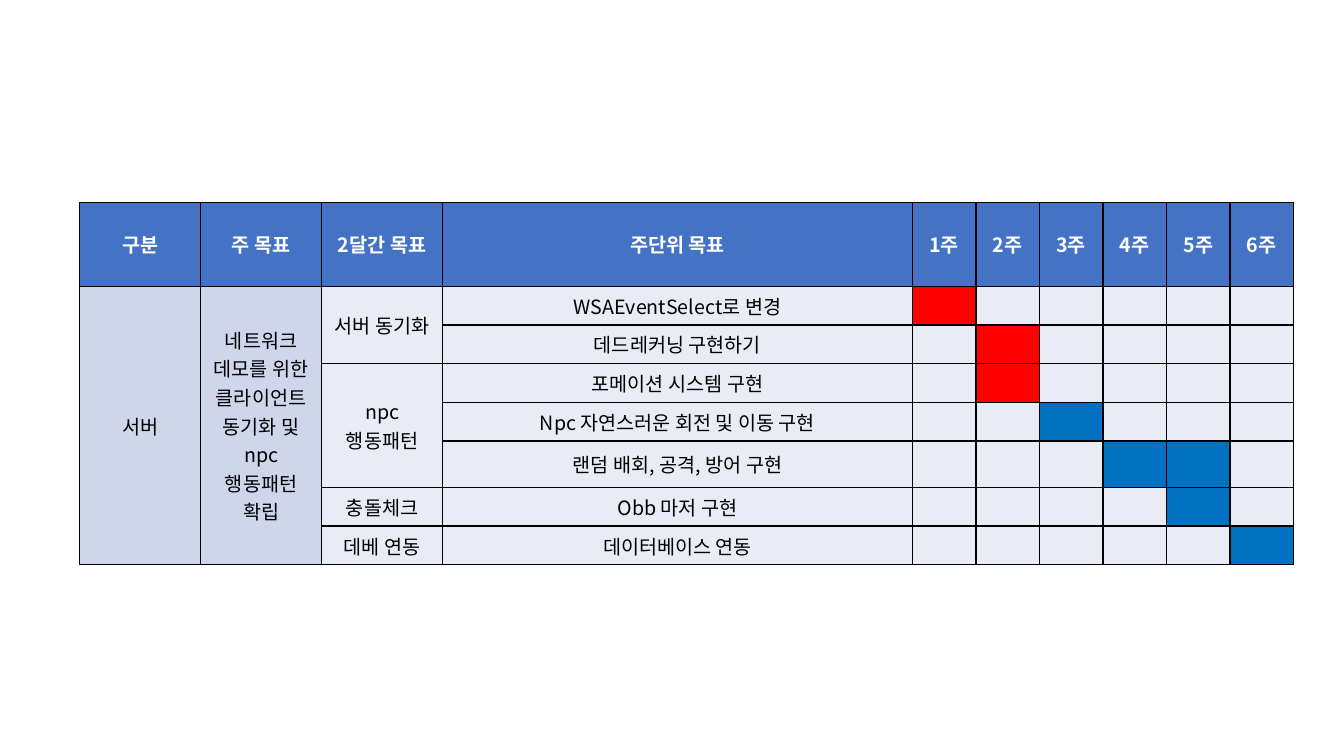
from pptx import Presentation
from pptx.dml.color import RGBColor
from pptx.enum.text import MSO_ANCHOR, PP_ALIGN
from pptx.oxml.ns import qn
from pptx.util import Inches, Pt
from lxml.etree import SubElement

FONT = "Noto Sans CJK KR"
FONT_SIZE = 14
WHITE = RGBColor(0xFF, 0xFF, 0xFF)
BLACK = RGBColor(0x00, 0x00, 0x00)
HEADER_BLUE = RGBColor(0x44, 0x72, 0xC4)
GROUP_FILL = RGBColor(0xCF, 0xD5, 0xEA)
BODY_FILL = RGBColor(0xE9, 0xEB, 0xF5)
RED = RGBColor(0xFF, 0x00, 0x00)
BLUE = RGBColor(0x00, 0x70, 0xC0)

WEEKS = 6
HEADERS = ["구분", "주 목표", "2달간 목표", "주단위 목표"]
HEADERS += [f"{week}주" for week in range(1, WEEKS + 1)]
AREA = "서버"
MAIN_GOAL = "네트워크 데모를 위한 클라이언트 동기화 및 npc 행동패턴 확립"
# Two-month goal, then its tasks: (weekly goal, weeks, bar colour)
GOALS = [
    ("서버 동기화", [
        ("WSAEventSelect로 변경", [1], RED),
        ("데드레커닝 구현하기", [2], RED),
    ]),
    ("npc 행동패턴", [
        ("포메이션 시스템 구현", [2], RED),
        ("Npc 자연스러운 회전 및 이동 구현", [3], BLUE),
        ("랜덤 배회, 공격, 방어 구현", [4, 5], BLUE),
    ]),
    ("충돌체크", [("Obb 마저 구현", [5], BLUE)]),
    ("데베 연동", [("데이터베이스 연동", [6], BLUE)]),
]
COLUMN_WIDTHS = [1.2, 1.2, 1.2, 4.66] + [0.63] * WEEKS
ROW_HEIGHTS = [0.83] + [0.38] * 4 + [0.46] + [0.38] * 2
LEFT, TOP = 0.79, 2.01
FIRST_WEEK_COLUMN = 4


def add_borders(cell):
    """Draw a thin black line on all four sides of a cell."""
    properties = cell._tc.get_or_add_tcPr()
    for index, side in enumerate(("lnL", "lnR", "lnT", "lnB")):
        line = properties.makeelement(qn(f"a:{side}"), {"w": str(Pt(1))})
        solid = SubElement(line, qn("a:solidFill"))
        SubElement(solid, qn("a:srgbClr"), val=str(BLACK))
        properties.insert(index, line)


def style_cell(cell, fill, text="", color=BLACK, bold=False):
    """Fill a cell, border it and set its centred text."""
    cell.fill.solid()
    cell.fill.fore_color.rgb = fill
    add_borders(cell)
    cell.vertical_anchor = MSO_ANCHOR.MIDDLE
    paragraph = cell.text_frame.paragraphs[0]
    paragraph.alignment = PP_ALIGN.CENTER
    if not text:
        # An empty cell needs its own size, or the row grows
        SubElement(paragraph._p, qn("a:endParaRPr"), sz=str(FONT_SIZE * 100))
        return
    paragraph.text = text
    font = paragraph.runs[0].font
    font.name = FONT
    font.size = Pt(FONT_SIZE)
    font.bold = bold
    font.color.rgb = color
    SubElement(font._element, qn("a:ea"), typeface=FONT)


def merge_down(table, row, column, count):
    """Merge a run of cells in one column."""
    if count > 1:
        table.cell(row, column).merge(table.cell(row + count - 1, column))


def fill_table(table):
    """Write the header, the goals and the week bars."""
    for column, header in enumerate(HEADERS):
        style_cell(table.cell(0, column), HEADER_BLUE, header, WHITE, True)
    row = 1
    for goal, tasks in GOALS:
        merge_down(table, row, 2, len(tasks))
        for index, (task, weeks, color) in enumerate(tasks):
            first = row == 1
            labels = [
                (AREA if first else "", GROUP_FILL),
                (MAIN_GOAL if first else "", GROUP_FILL),
                (goal if index == 0 else "", BODY_FILL),
                (task, BODY_FILL),
            ]
            for column, (text, fill) in enumerate(labels):
                style_cell(table.cell(row, column), fill, text)
            for week in range(1, WEEKS + 1):
                cell = table.cell(row, FIRST_WEEK_COLUMN + week - 1)
                style_cell(cell, color if week in weeks else BODY_FILL)
            row += 1
    for column in (0, 1):
        merge_down(table, 1, column, row - 1)


presentation = Presentation()
presentation.slide_width = Inches(13.33)
presentation.slide_height = Inches(7.5)
slide = presentation.slides.add_slide(presentation.slide_layouts[6])
schedule = slide.shapes.add_table(
    len(ROW_HEIGHTS), len(COLUMN_WIDTHS), Inches(LEFT), Inches(TOP),
    Inches(sum(COLUMN_WIDTHS)), Inches(sum(ROW_HEIGHTS))).table
for column, width in zip(schedule.columns, COLUMN_WIDTHS):
    column.width = Inches(width)
for row, height in zip(schedule.rows, ROW_HEIGHTS):
    row.height = Inches(height)
fill_table(schedule)
presentation.save("out.pptx")
